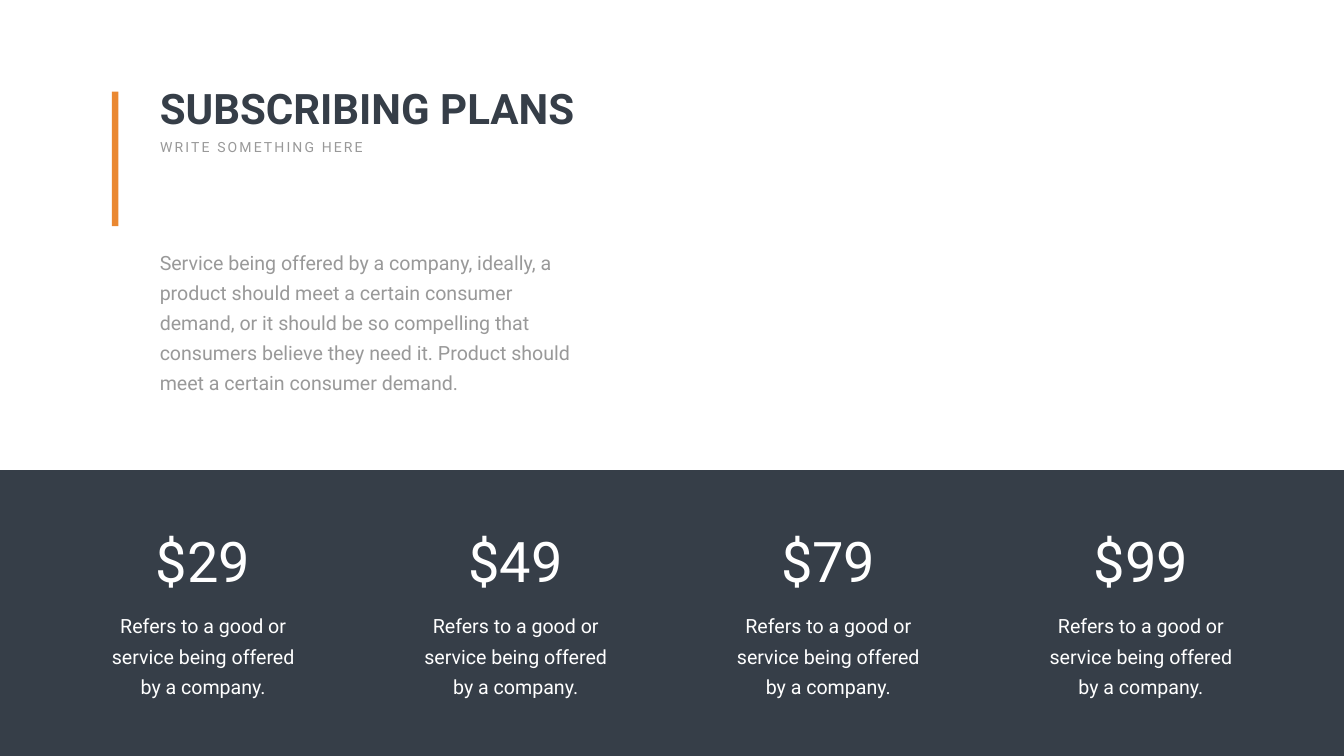
import pptx
import pptx.dml.color
import pptx.enum.shapes
import pptx.enum.text
import pptx.oxml
import pptx.oxml.ns
import pptx.util

Cm = pptx.util.Cm
Pt = pptx.util.Pt
ALIGN = pptx.enum.text.PP_ALIGN

FONT = "Roboto"
COLOURS = {"dark": "363E48", "grey": "999999", "accent": "EA8831", "white": "FFFFFF"}
PAGE_WIDTH, PAGE_HEIGHT = 67.72, 38.1
PRICES = ["$29", "$49", "$79", "$99"]
PLAN_TEXT = "Refers to a good or service being offered by a company."
INTRO_TEXT = (
    "Service being offered by a company, ideally, a product should meet a certain "
    "consumer demand, or it should be so compelling that consumers believe they need it. "
    "Product should meet a certain consumer demand."
)


def colour(name):
    return pptx.dml.color.RGBColor.from_string(COLOURS[name])


def place(shape, left, top, width, height):
    shape.left, shape.top = Cm(left), Cm(top)
    shape.width, shape.height = Cm(width), Cm(height)


def add_bar(page, left, top, width, height, fill):
    bar = page.shapes.add_shape(
        pptx.enum.shapes.MSO_SHAPE.RECTANGLE, Cm(left), Cm(top), Cm(width), Cm(height)
    )
    bar.shadow.inherit = False
    bar.fill.solid()
    bar.fill.fore_color.rgb = colour(fill)
    bar.line.fill.background()


def add_text_box(page, left, top, width, height):
    return page.shapes.add_textbox(Cm(left), Cm(top), Cm(width), Cm(height))


def write(box, text, size, ink, align=ALIGN.LEFT, bold=False, wrap=True, spacing=None):
    frame = box.text_frame
    frame.word_wrap = wrap
    frame.auto_size = pptx.enum.text.MSO_AUTO_SIZE.NONE
    frame.vertical_anchor = pptx.enum.text.MSO_ANCHOR.TOP
    para = frame.paragraphs[0]
    para.alignment = align
    para.space_before = Pt(0)
    span = para.add_run()
    span.text = text
    span.font.name = FONT
    span.font.size = Pt(size)
    span.font.bold = bold
    span.font.color.rgb = colour(ink)
    if spacing:
        span._r.get_or_add_rPr().set("spc", str(spacing * 100))
    return para


def write_body(box, text, ink, align=ALIGN.LEFT):
    frame = box.text_frame
    frame.margin_left = frame.margin_right = Cm(0.61)
    frame.margin_top = frame.margin_bottom = Cm(0.3)
    para = write(box, text, 28, ink, align)
    para.line_spacing = Pt(43)
    return para


def remove_bullet(para):
    properties = para._p.get_or_add_pPr()
    properties.set("marL", "0")
    properties.set("indent", "0")
    properties.append(pptx.oxml.parse_xml("<a:buNone %s/>" % pptx.oxml.ns.nsdecls("a")))


def build_heading(page, left, top):
    add_bar(page, left, top + 0.58, 0.33, 6.78, "accent")
    title = page.shapes.title
    place(title, left + 2.16, top, 26.39, 2.82)
    write(title, "SUBSCRIBING PLANS", 60, "dark", bold=True)
    subtitle = add_text_box(page, left + 2.18, top + 2.82, 11.05, 1.12)
    write(subtitle, "WRITE SOMETHING HERE", 20, "grey", wrap=False, spacing=3)


def build_intro(page, left, top, width, height):
    body = page.placeholders[1]
    place(body, left, top, width, height)
    remove_bullet(write_body(body, INTRO_TEXT, "grey"))


def build_plan(page, left, top, width, price):
    price_width = 5.33
    price_left = left + (width - price_width) / 2
    price_box = add_text_box(page, price_left, top, price_width, 3.68)
    write(price_box, price, 80, "white", ALIGN.CENTER, wrap=False)
    detail = add_text_box(page, left, top + 3.91, width, 5.08)
    write_body(detail, PLAN_TEXT, "white", ALIGN.CENTER)


def build_plans(page, left, top, width, height):
    add_bar(page, left, top, width, height, "dark")
    plan_width, margin = 11.13, 4.67
    pitch = (width - 2 * margin - plan_width) / (len(PRICES) - 1)
    for index, price in enumerate(PRICES):
        build_plan(page, left + margin + index * pitch, top + 2.72, plan_width, price)


def main():
    deck = pptx.Presentation()
    deck.slide_width, deck.slide_height = Cm(PAGE_WIDTH), Cm(PAGE_HEIGHT)
    page = deck.slides.add_slide(deck.slide_layouts[1])
    page.background.fill.solid()
    page.background.fill.fore_color.rgb = colour("white")
    build_heading(page, 5.64, 4.04)
    build_intro(page, 7.44, 11.99, 22.35, 8.13)
    build_plans(page, 0, 23.7, PAGE_WIDTH, 14.4)
    deck.save("out.pptx")


if __name__ == "__main__":
    main()
